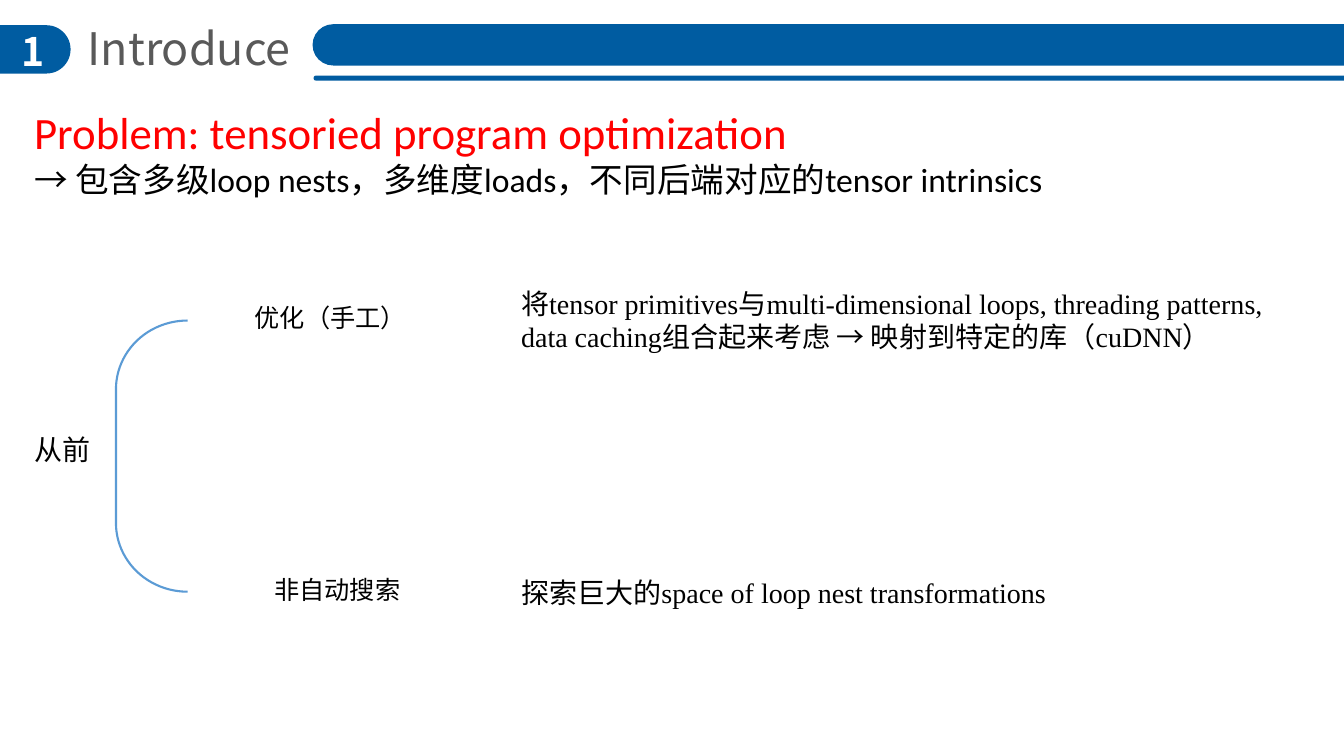
from dataclasses import dataclass

from lxml import etree
from pptx import Presentation
from pptx import util as u
from pptx.dml.color import RGBColor
from pptx.enum import shapes, text
from pptx.oxml import ns

PX = 9144  # one px is a hundredth of an inch


@dataclass(frozen=True)
class Theme:
    blue: str = "005CA1"
    bracket: str = "5B9BD5"
    grey: str = "595959"
    red: str = "FF0000"
    black: str = "000000"
    white: str = "FFFFFF"
    sans: str = "Noto Sans CJK SC"
    heading: str = "Calibri"
    label: str = "Arial"
    body: str = "Times New Roman"
    title_size: int = 32
    number_size: int = 28
    lead_size: int = 24
    body_size: int = 20
    label_size: int = 18


THEME = Theme()


def px(*lengths):
    return [u.Emu(length * PX) for length in lengths]


def write(paragraph, content, *, size, font, color=THEME.black, bold=False,
          align=text.PP_ALIGN.LEFT):
    """Add one formatted run to a paragraph."""
    paragraph.alignment = align
    run = paragraph.add_run()
    run.text = content
    run.font.size = u.Pt(size)
    run.font.bold = bold
    run.font.color.rgb = RGBColor.from_string(color)
    run.font.name = font
    east_asian = etree.SubElement(run.font._element, ns.qn("a:ea"))
    east_asian.set("typeface", THEME.sans)


def add_text(slide, box, *lines, anchor=text.MSO_ANCHOR.TOP, **style):
    """Add a text box; each line is its text, or a pair of text and own style."""
    frame = slide.shapes.add_textbox(*px(*box)).text_frame
    frame.word_wrap = True
    frame.vertical_anchor = anchor
    for index, line in enumerate(lines):
        content, own_style = (line, {}) if isinstance(line, str) else line
        paragraph = frame.add_paragraph() if index else frame.paragraphs[0]
        write(paragraph, content, **{**style, **own_style})


def add_bar(slide, box):
    bar = slide.shapes.add_shape(shapes.MSO_SHAPE.ROUNDED_RECTANGLE, *px(*box))
    bar.adjustments[0] = 0.5
    bar.shadow.inherit = False
    bar.fill.solid()
    bar.fill.fore_color.rgb = RGBColor.from_string(THEME.blue)
    bar.line.fill.background()


def add_bracket(slide, box):
    bracket = slide.shapes.add_shape(shapes.MSO_SHAPE.RIGHT_BRACKET, *px(*box))
    bracket.adjustments[0] = 0.96
    bracket.rotation = 180
    bracket.shadow.inherit = False
    bracket.fill.background()
    bracket.line.color.rgb = RGBColor.from_string(THEME.bracket)
    bracket.line.width = u.Pt(1.5)


def set_title(slide, box, content):
    title = slide.shapes.title
    title.left, title.top, title.width, title.height = px(*box)
    frame = title.text_frame
    frame.word_wrap = False
    frame.auto_size = text.MSO_AUTO_SIZE.NONE
    frame.vertical_anchor = text.MSO_ANCHOR.TOP
    write(frame.paragraphs[0], content, size=THEME.title_size,
          font=THEME.sans, color=THEME.grey)


def main():
    presentation = Presentation()
    presentation.slide_width, presentation.slide_height = px(1333, 750)
    slide = presentation.slides.add_slide(presentation.slide_layouts[5])

    # Header with section number
    set_title(slide, (77, 16, 227, 64), "Introduce")
    for box in ((310, 24, 1075, 41), (311, 75, 1075, 5), (-28, 25, 98, 48)):
        add_bar(slide, box)
    add_text(slide, (7, 22, 51, 57), "1", size=THEME.number_size, font=THEME.sans,
             color=THEME.white, bold=True, align=text.PP_ALIGN.CENTER)

    # Problem statement
    add_text(slide, (24, 99, 1286, 104),
             ("Problem: tensoried program optimization",
              {"size": THEME.title_size, "color": THEME.red}),
             "→ 包含多级loop nests，多维度loads，不同后端对应的tensor intrinsics",
             size=THEME.lead_size, font=THEME.heading)

    # Earlier approaches, joined by the bracket
    add_bracket(slide, (115, 318, 71, 269))
    for box, label in (((223, 286, 209, 58), "优化（手工）"),
                       ((210, 556, 249, 58), "非自动搜索")):
        add_text(slide, box, label, size=THEME.label_size, font=THEME.label,
                 align=text.PP_ALIGN.CENTER, anchor=text.MSO_ANCHOR.MIDDLE)

    # Name of the group and description of each approach
    for box, lines in (
        ((24, 424, 90, 44), ["从前"]),
        ((507, 279, 826, 77),
         ["将tensor primitives与multi-dimensional loops, threading patterns,",
          "data caching组合起来考虑 → 映射到特定的库（cuDNN）"]),
        ((507, 566, 826, 44), ["探索巨大的space of loop nest transformations"]),
    ):
        add_text(slide, box, *lines, size=THEME.body_size, font=THEME.body)

    presentation.save("out.pptx")


if __name__ == "__main__":
    main()
